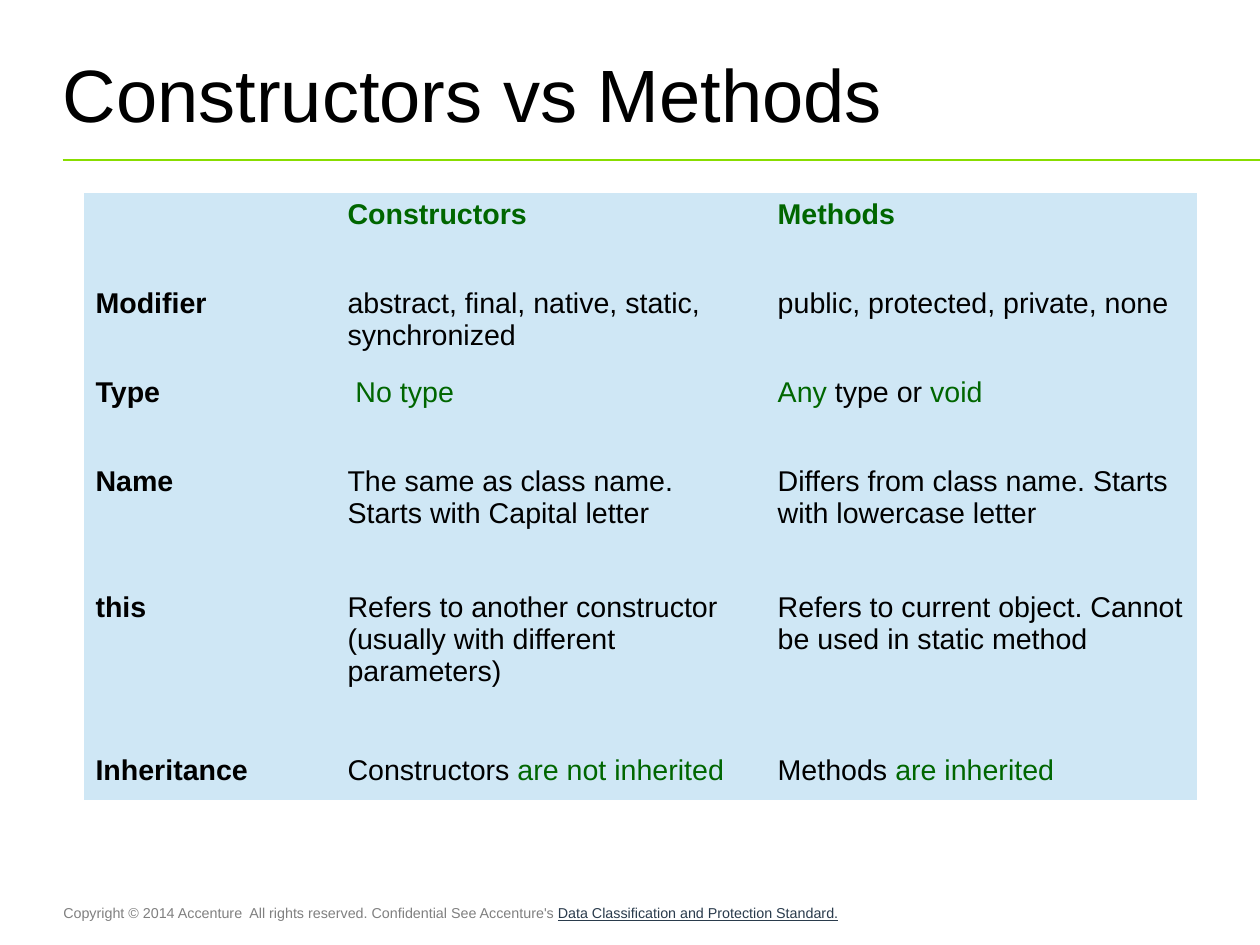
from pptx import Presentation
from pptx.dml.color import RGBColor
from pptx.enum.shapes import MSO_CONNECTOR
from pptx.enum.text import MSO_ANCHOR, MSO_AUTO_SIZE, PP_ALIGN
from pptx.oxml import parse_xml
from pptx.oxml.ns import nsdecls, qn
from pptx.util import Cm, Pt

WIDTH, HEIGHT = Cm(28), Cm(21)
BLACK = RGBColor(0x00, 0x00, 0x00)
GREEN = RGBColor(0x00, 0x66, 0x00)
LIME = RGBColor(0x88, 0xDD, 0x00)
PALE_BLUE = RGBColor(0xCF, 0xE7, 0xF5)
GRAY = RGBColor(0x80, 0x80, 0x80)
NAVY = RGBColor(0x2A, 0x3B, 0x4C)
NO_STYLE = "{2D5ABB26-0587-4C30-8999-92F81FD0307C}"

MARGIN = 4.98
COLUMNS = [20, 34.14, 34.2]
ROWS = [9.43, 9.43, 9.43, 13.3, 17.29, 5.44]
HEADINGS = ["", "Constructors", "Methods"]
COMPARISON = [
    ("Modifier",
     [("abstract, final, native, static, synchronized", BLACK)],
     [("public, protected, private, none", BLACK)]),
    ("Type",
     [(" ", BLACK), ("No type", GREEN)],
     [("Any", GREEN), (" type or ", BLACK), ("void", GREEN)]),
    ("Name",
     [("The same as class name. Starts with Capital letter", BLACK)],
     [("Differs from class name. Starts with lowercase letter", BLACK)]),
    ("this",
     [("Refers to another constructor (usually with different parameters)", BLACK)],
     [("Refers to current object. Cannot be used in static method", BLACK)]),
    ("Inheritance",
     [("Constructors ", BLACK), ("are not inherited", GREEN)],
     [("Methods ", BLACK), ("are inherited", GREEN)]),
]


def x(share):
    """Turn a percentage of the slide width into a length."""
    return int(WIDTH * share / 100)


def y(share):
    """Turn a percentage of the slide height into a length."""
    return int(HEIGHT * share / 100)


def add_run(p, text, size, color, bold=False, underline=False):
    """Append one formatted run to a paragraph."""
    r = p.add_run()
    r.text = text
    r.font.name = "Arial"
    r.font.size = Pt(size)
    r.font.bold = bold
    r.font.underline = underline
    r.font.color.rgb = color


def set_title(s, text):
    """Place and fill the title placeholder."""
    sp = s.shapes.title
    sp.left, sp.top, sp.width, sp.height = x(MARGIN), y(0.73), x(90), y(18.26)
    tf = sp.text_frame
    tf.auto_size = MSO_AUTO_SIZE.NONE
    tf.word_wrap = True
    tf.vertical_anchor = MSO_ANCHOR.MIDDLE
    tf.margin_left = tf.margin_right = tf.margin_top = tf.margin_bottom = 0
    p = tf.paragraphs[0]
    p.alignment = PP_ALIGN.LEFT
    add_run(p, text, 46.7, BLACK)


def add_rule(s):
    """Draw the line under the title out to the slide's right edge."""
    line = s.shapes.add_connector(
        MSO_CONNECTOR.STRAIGHT, x(MARGIN), y(16.93), WIDTH, y(16.93))
    line.line.color.rgb = LIME
    line.line.width = Pt(1)
    line._element.spPr.append(parse_xml(f"<a:effectLst {nsdecls('a')}/>"))


def fill_cell(cell, runs, bold=False):
    """Colour a table cell and write its runs."""
    cell.fill.solid()
    cell.fill.fore_color.rgb = PALE_BLUE
    for text, color in runs:
        add_run(cell.text_frame.paragraphs[0], text, 18, color, bold)


def add_comparison(s):
    """Build the table that compares constructors with methods."""
    table = s.shapes.add_table(
        len(ROWS), len(COLUMNS), x(6.68), y(20.38),
        x(sum(COLUMNS)), y(sum(ROWS))).table
    table.first_row = table.horz_banding = False
    table._tbl.tblPr.find(qn("a:tableStyleId")).text = NO_STYLE
    for column, share in zip(table.columns, COLUMNS):
        column.width = x(share)
    for row, share in zip(table.rows, ROWS):
        row.height = y(share)
    for j, heading in enumerate(HEADINGS):
        fill_cell(table.cell(0, j), [(heading, GREEN)] if heading else [], True)
    for i, (label, *details) in enumerate(COMPARISON, 1):
        fill_cell(table.cell(i, 0), [(label, BLACK)], True)
        for j, runs in enumerate(details, 1):
            fill_cell(table.cell(i, j), runs)


def add_footer(s):
    """Write the copyright line at the bottom."""
    tf = s.shapes.add_textbox(x(4.13), y(95.1), x(91.29), y(3.02)).text_frame
    tf.word_wrap = True
    p = tf.paragraphs[0]
    add_run(p, "Copyright © 2014 Accenture  All rights reserved. "
               "Confidential See Accenture's ", 9, GRAY)
    add_run(p, "Data Classification and Protection Standard.", 9, NAVY,
            underline=True)


def main():
    """Build and save the slide."""
    prs = Presentation()
    prs.slide_width, prs.slide_height = WIDTH, HEIGHT
    s = prs.slides.add_slide(prs.slide_layouts[5])
    add_rule(s)
    add_footer(s)
    set_title(s, "Constructors vs Methods")
    add_comparison(s)
    prs.save("out.pptx")


if __name__ == "__main__":
    main()
